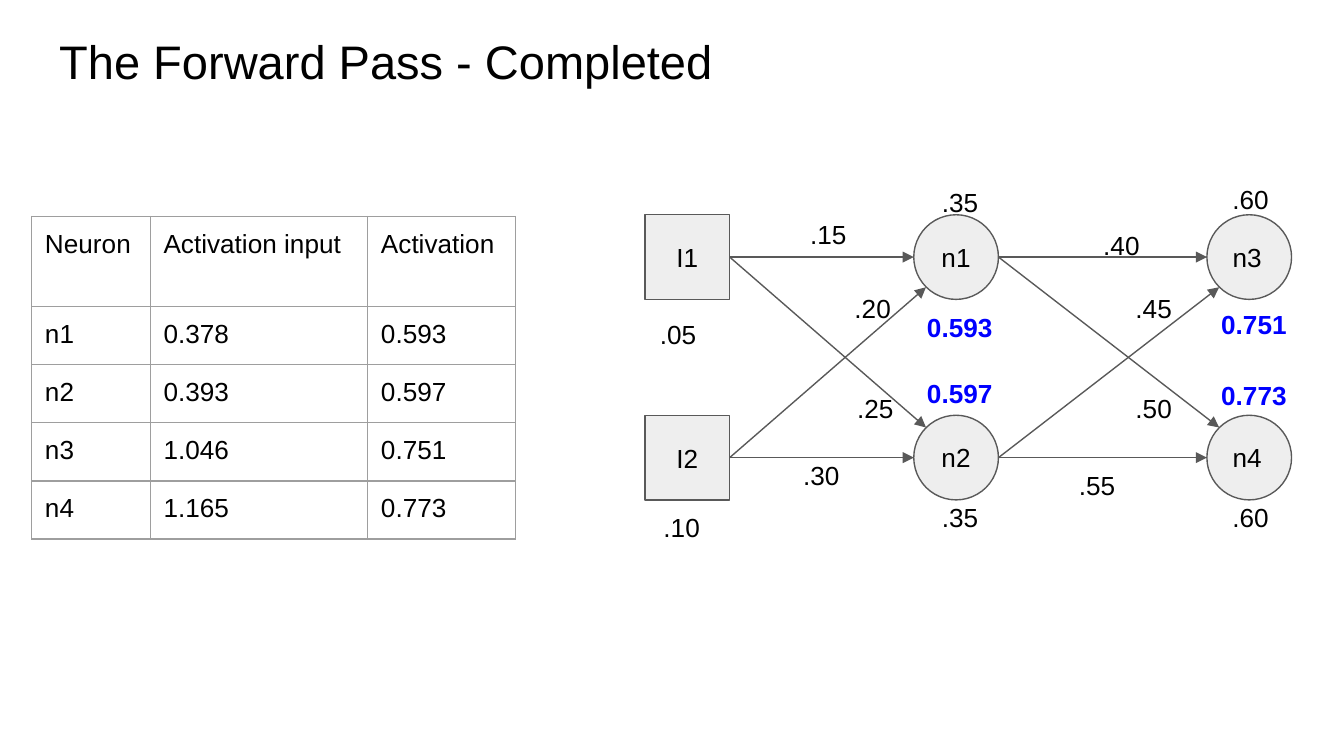
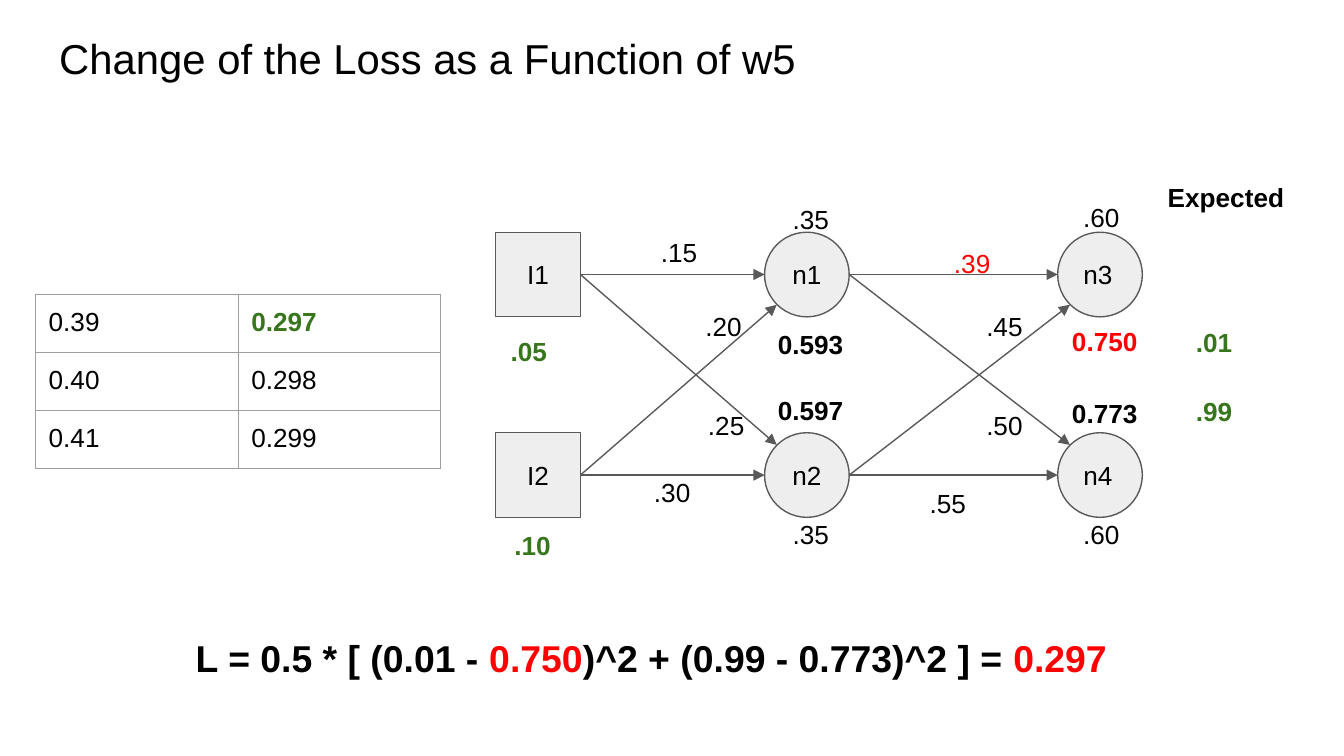
import pptx
import pptx.util
import pptx.dml.color
import pptx.enum.shapes
import pptx.enum.text
import pptx.oxml
import pptx.oxml.ns
from lxml import etree

Cm, Pt = pptx.util.Cm, pptx.util.Pt
SHAPE = pptx.enum.shapes.MSO_SHAPE
ALIGN = pptx.enum.text.PP_ALIGN
ANCHOR = pptx.enum.text.MSO_ANCHOR
qn = pptx.oxml.ns.qn

BLACK, BLUE, RED, GREEN = "000000", "0000FF", "FF0000", "38761D"
NODE_FILL, LINE, BORDER = "EEEEEE", "595959", "9E9E9E"


def rgb(value):
    return pptx.dml.color.RGBColor.from_string(value)


def write(tf, runs, size=14, bold=False, anchor=ANCHOR.TOP, align=ALIGN.LEFT):
    """Fill a text frame with one paragraph of (text, colour) runs."""
    frame = {"word_wrap": True, "auto_size": pptx.enum.text.MSO_AUTO_SIZE.NONE,
             "vertical_anchor": anchor}
    for side in ("left", "top", "right", "bottom"):
        frame["margin_" + side] = Cm(0.25)
    for name, value in frame.items():
        setattr(tf, name, value)
    p = tf.paragraphs[0]
    p.alignment = align
    for text, color in runs:
        r = p.add_run()
        r.text = text
        for name, value in {"name": "Arial", "size": Pt(size), "bold": bold}.items():
            setattr(r.font, name, value)
        r.font.color.rgb = rgb(color)


# Network geometry, measured from its top left corner
NODE = 1.6
COLS = (0, 5.08, 10.62)
ROWS = (0, 3.79)
NAMES = (("I1", "I2"), ("n1", "n2"), ("n3", "n4"))
DIAG = 0.23  # from the box of a circle to its outline at 45 degrees

# Labels by group: width, height, then (key, x, y)
LABELS = (
    (1.6, 1.2, (("w1", 2.87, -0.18), ("w2", 3.71, 1.22),
                ("w3", 3.76, 3.1), ("w4", 2.74, 4.37))),
    (1.6, 0.84, (("b1", 5.36, -0.79), ("b2", 5.36, 5.16),
                 ("b3", 10.85, -0.84), ("b4", 10.85, 5.16))),
    (1.6, 0.76, (("w5", 8.41, 0.03), ("w6", 9.02, 1.22),
                 ("w7", 9.02, 3.1), ("w8", 7.95, 4.57))),
    (1.4, 0.76, (("i1", 0.03, 1.7), ("i2", 0.1, 5.36))),
    (2.03, 1.12, (("a1", 5.08, 1.57), ("a2", 5.08, 2.82),
                  ("a3", 10.64, 1.52), ("a4", 10.64, 2.87))),
)

# Label values: text, colour, bold
WEIGHTS = {
    "w1": ".15", "w2": ".20", "w3": ".25", "w4": ".30",
    "w6": ".45", "w7": ".50", "w8": ".55",
    "b1": ".35", "b2": ".35", "b3": ".60", "b4": ".60",
}
COMMON = {key: (text, BLACK, False) for key, text in WEIGHTS.items()}

SLIDES = (
    {
        "title": "The Forward Pass - Completed", "size": 25.2,
        "origin": (12.19, 4.06),
        "values": {
            "w5": (".40", BLACK, False),
            "i1": (".05", BLACK, False), "i2": (".10", BLACK, False),
            "a1": ("0.593", BLUE, True), "a2": ("0.597", BLUE, True),
            "a3": ("0.751", BLUE, True), "a4": ("0.773", BLUE, True),
        },
        "table": (0.6, 4.09), "widths": (2.24, 4.11, 2.79),
        "heights": (1.7, 1.1, 1.1, 1.1, 1.1),
        "cells": (("Neuron", "Activation input", "Activation"),
                  ("n1", "0.378", "0.593"), ("n2", "0.393", "0.597"),
                  ("n3", "1.046", "0.751"), ("n4", "1.165", "0.773")),
        "marked": (),
        "notes": (),
    },
    {
        "title": "Change of the Loss as a Function of w5", "size": 22.4,
        "origin": (9.37, 4.39),
        "values": {
            "w5": (".39", RED, False),
            "i1": (".05", GREEN, True), "i2": (".10", GREEN, True),
            "a1": ("0.593", BLACK, True), "a2": ("0.597", BLACK, True),
            "a3": ("0.750", RED, True), "a4": ("0.773", BLACK, True),
        },
        "table": (0.67, 5.56), "widths": (3.83, 3.83),
        "heights": (1.1, 1.1, 1.1),
        "cells": (("0.39", "0.297"), ("0.40", "0.298"), ("0.41", "0.299")),
        "marked": ("0.297",),
        # Expected outputs and loss formula: box, size, anchor, runs
        "notes": (
            ((22.35, 6.12, 1.75, 0.71), 14, ANCHOR.MIDDLE, ((".01", GREEN),)),
            ((22.35, 7.42, 1.75, 0.71), 14, ANCHOR.MIDDLE, ((".99", GREEN),)),
            ((21.82, 3.18, 3, 1.35), 14, ANCHOR.TOP, (("Expected", BLACK),)),
            ((3.45, 11.76, 19.2, 1.6), 20, ANCHOR.TOP,
             (("L = 0.5 * [ (0.01 - ", BLACK), ("0.750", RED),
              (")^2 + (0.99 - 0.773)^2 ] = ", BLACK), ("0.297", RED))),
        ),
    },
)

prs = pptx.Presentation()
prs.slide_width, prs.slide_height = Cm(25.4), Cm(14.29)

for data in SLIDES:
    slide = prs.slides.add_slide(prs.slide_layouts[6])
    left, top = data["origin"]

    # Title
    sp = slide.shapes.add_textbox(Cm(0.87), Cm(0.36), Cm(23.67), Cm(1.6))
    write(sp.text_frame, ((data["title"], BLACK),), data["size"])

    # Nodes: square inputs, round neurons
    for col, names in enumerate(NAMES):
        for row, name in enumerate(names):
            sp = slide.shapes.add_shape(
                SHAPE.OVAL if col else SHAPE.RECTANGLE,
                Cm(left + COLS[col]), Cm(top + ROWS[row]), Cm(NODE), Cm(NODE))
            sp.shadow.inherit = False
            sp.fill.solid()
            sp.fill.fore_color.rgb = rgb(NODE_FILL)
            sp.line.color.rgb = rgb(LINE)
            sp.line.width = Pt(0.75)
            write(sp.text_frame, ((name, BLACK),), anchor=ANCHOR.MIDDLE,
                  align=ALIGN.LEFT if col == 2 else ALIGN.CENTER)

    # Arrows from every node to both nodes of the next column
    for col in (0, 1):
        for start in (0, 1):
            for end in (0, 1):
                x1 = left + COLS[col] + NODE
                y1 = top + ROWS[start] + NODE / 2
                x2 = left + COLS[col + 1]
                y2 = top + ROWS[end] + NODE / 2
                if start != end:
                    x2 += DIAG
                    y2 += (NODE / 2 - DIAG) * (start - end)
                cxn = slide.shapes.add_connector(
                    pptx.enum.shapes.MSO_CONNECTOR.STRAIGHT,
                    Cm(x1), Cm(y1), Cm(x2), Cm(y2))
                cxn.line.color.rgb = rgb(LINE)
                cxn.line.width = Pt(0.75)
                etree.SubElement(cxn.line._get_or_add_ln(), qn("a:tailEnd"),
                                 type="triangle", w="med", len="med")
                etree.SubElement(cxn._element.spPr, qn("a:effectLst"))

    # Weights, biases, inputs and activations
    values = {**COMMON, **data["values"]}
    for width, height, places in LABELS:
        for key, x, y in places:
            text, color, bold = values[key]
            sp = slide.shapes.add_textbox(
                Cm(left + x), Cm(top + y), Cm(width), Cm(height))
            write(sp.text_frame, ((text, color),), bold=bold)

    # Notes
    for box, size, anchor, runs in data["notes"]:
        sp = slide.shapes.add_textbox(*map(Cm, box))
        write(sp.text_frame, runs, size, True, anchor)

    # Table
    x, y = data["table"]
    widths, heights = data["widths"], data["heights"]
    table = slide.shapes.add_table(
        len(heights), len(widths), Cm(x), Cm(y),
        Cm(sum(widths)), Cm(sum(heights))).table
    table.first_row = table.horz_banding = False
    for column, width in zip(table.columns, widths):
        column.width = Cm(width)
    for row, height, texts in zip(table.rows, heights, data["cells"]):
        row.height = Cm(height)
        for cell, text in zip(row.cells, texts):
            marked = text in data["marked"]
            write(cell.text_frame, ((text, GREEN if marked else BLACK),), bold=marked)
            for side in ("left", "top", "right", "bottom"):
                setattr(cell, "margin_" + side, Cm(0.25))
            tcPr = cell._tc.get_or_add_tcPr()
            for child in list(tcPr):
                tcPr.remove(child)
            for tag in ("a:lnL", "a:lnR", "a:lnT", "a:lnB"):
                ln = etree.SubElement(tcPr, qn(tag), w=str(Pt(0.75)))
                fill = etree.SubElement(ln, qn("a:solidFill"))
                etree.SubElement(fill, qn("a:srgbClr"), val=BORDER)
            cell.fill.background()

prs.save("out.pptx")
